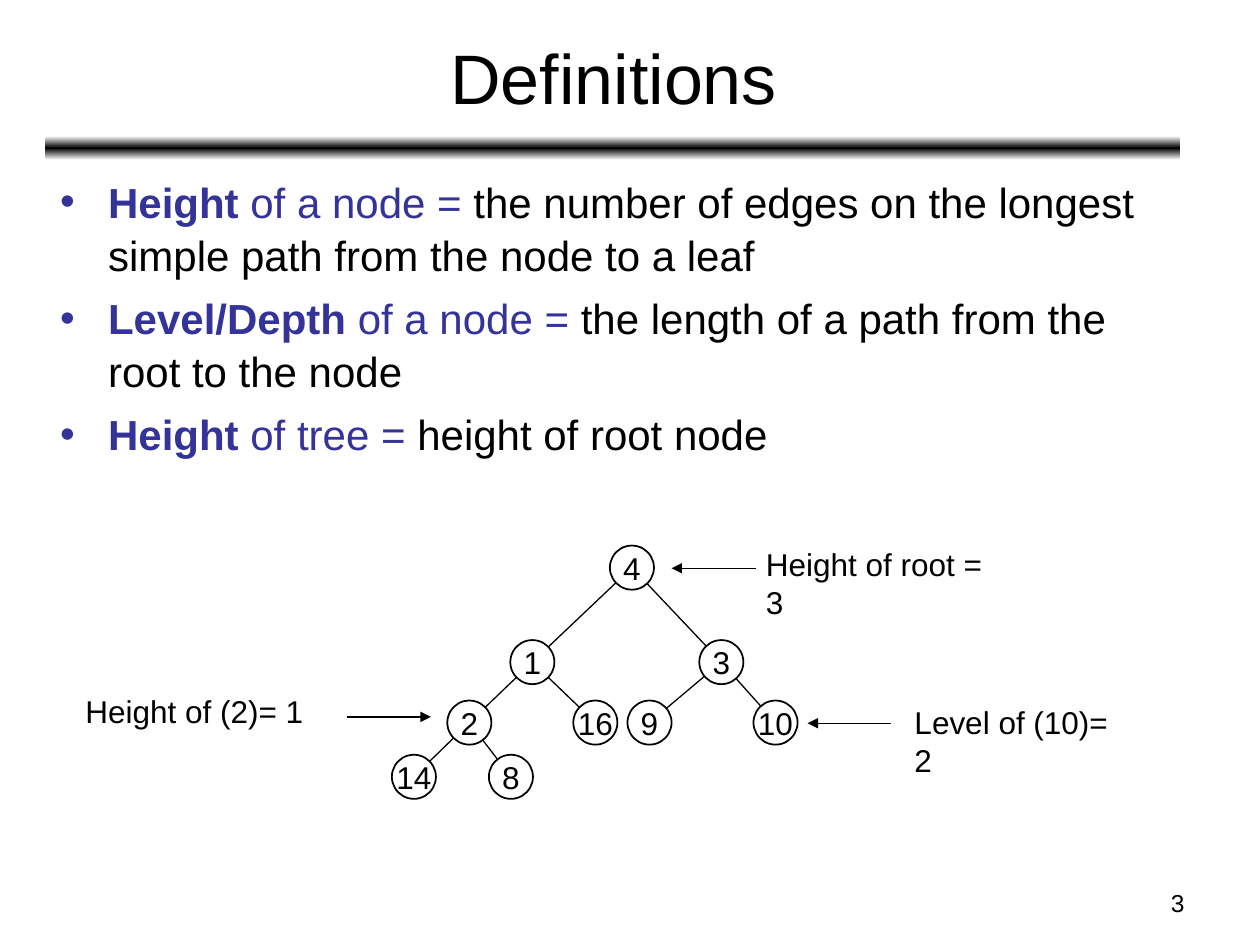
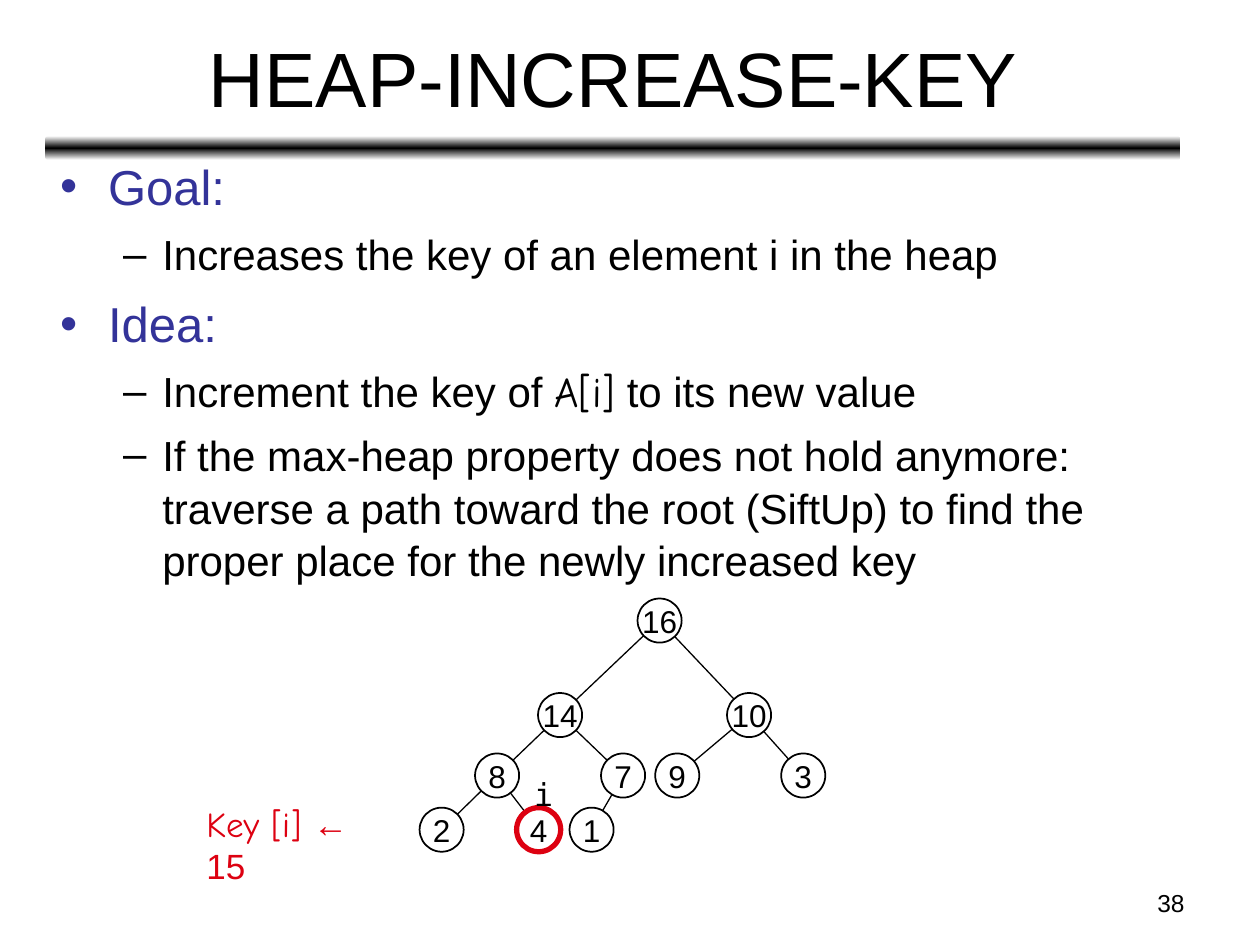
"""Build two slides on binary trees: definitions, and raising a key in a heap."""
from copy import deepcopy

from lxml import etree
from pptx import Presentation
from pptx import util as u
from pptx.dml.color import RGBColor
from pptx.enum import shapes, text
from pptx.oxml.ns import qn


class Theme:
    black = RGBColor.from_string("000000")
    white = RGBColor.from_string("FFFFFF")
    blue = RGBColor.from_string("333399")
    red = RGBColor.from_string("DD0111")
    face, hand, mono = "Arial", "Comic Neue", "DejaVu Sans Mono"
    small, label, key, item, topic = 14, 18, 20, 24, 28
    thin, ring, bold = 0.75, 1, 3
    pitch = 1.05


PX = 9144
NODE = 35
SLOTS = [(0, 0), (-79, 75), (71, 75), (-129, 123), (-29, 123), (14, 123),
         (114, 123), (-173, 166), (-96, 166), (-54, 166)]
LEVELS = {"•": (38, -38, Theme.blue), "–": (81, -31, Theme.black)}


def write(para, *runs):
    """Fill a paragraph with runs of (words, size, colour, bold, face)."""
    for words, size, color, *rest in runs:
        run = para.add_run()
        run.text = words
        run.font.size = u.Pt(size)
        run.font.color.rgb = color
        run.font.bold = bool(rest and rest[0])
        run.font.name = rest[1] if len(rest) > 1 else Theme.face


def wire(page, start, end, arrow=False):
    """Draw a thin straight line, with an arrowhead at its end if asked."""
    ends = [u.Emu(int(n * PX)) for n in (*start, *end)]
    line = page.shapes.add_connector(shapes.MSO_CONNECTOR.STRAIGHT, *ends)
    line.line.color.rgb = Theme.black
    line.line.width = u.Pt(Theme.thin)
    if arrow:
        etree.SubElement(line.line._get_or_add_ln(), qn("a:tailEnd"), type="triangle")
    etree.SubElement(line._element.spPr, qn("a:effectLst"))


def term(name, link, sense):
    return "•", 6, [(name, Theme.item, Theme.blue, True),
                    (link, Theme.item, Theme.blue),
                    (sense, Theme.item, Theme.black)]


TOPICS = [
    term("Height ", "of a node = ",
         "the number of edges on the longest simple path from the node to a leaf"),
    term("Level/Depth", " of a node = ",
         "the length of a path from the root to the node"),
    term("Height ", "of tree = ", "height of root node"),
]
STEPS = [
    ("•", 7, [("Goal:", Theme.topic, Theme.blue)]),
    ("–", 6, [("Increases the key of an element i in the heap", Theme.item, Theme.black)]),
    ("•", 7, [("Idea:", Theme.topic, Theme.blue)]),
    ("–", 6, [("Increment the key of ", Theme.item, Theme.black),
              ("A[i]", Theme.item, Theme.black, False, Theme.hand),
              (" to its new value", Theme.item, Theme.black)]),
    ("–", 6, [("If the max-heap property does not hold anymore: traverse a path "
               "toward the root (SiftUp) to find the proper place for the newly "
               "increased key", Theme.item, Theme.black)]),
]
PAGES = [
    dict(title="Definitions", size=40, num="3", top=133, body=TOPICS,
         root=(484, 433), keys=[4, 1, 3, 2, 16, 9, 10, 14, 8], mark=None,
         notes=[((598, 428, 212, 40), [("Height of root = 3", Theme.label, Theme.black)]),
                ((58, 544, 193, 40), [("Height of (2)= 1", Theme.label, Theme.black)]),
                ((716, 553, 194, 40), [("Level of (10)= 2", Theme.label, Theme.black)])],
         arrows=[((600, 451), (533, 451)), ((275, 569), (342, 569)),
                 ((707, 574), (641, 574))]),
    dict(title="HEAP-INCREASE-KEY", size=44, num="38", top=117, body=STEPS,
         root=(506, 475), keys=[16, 14, 10, 8, 7, 9, 3, 2, 4, 1], mark=8,
         notes=[((414, 610, 26, 40), [("i", Theme.label, Theme.black, False, Theme.mono)]),
                ((154, 632, 169, 44), [("Key [i] ", Theme.key, Theme.red, False, Theme.hand),
                                       ("← 15", Theme.key, Theme.red)])],
         arrows=[]),
]

deck = Presentation()
deck.slide_width, deck.slide_height = 1000 * PX, 750 * PX

for plan in PAGES:
    page = deck.slides.add_slide(deck.slide_layouts[6])

    band = page.shapes.add_shape(shapes.MSO_SHAPE.ROUNDED_RECTANGLE,
                                 *[n * PX for n in (36, 108, 901, 19)])
    band.shadow.inherit = False
    band.line.fill.background()
    band.fill.gradient()
    band.fill.gradient_angle = 90
    stops = band._element.spPr.find(".//" + qn("a:gsLst"))
    stops.insert(1, deepcopy(stops[0]))
    shades = [Theme.white, Theme.black, Theme.white]
    for i, (stop, shade) in enumerate(zip(band.fill.gradient_stops, shades)):
        stop.color.rgb = shade
        stop.position = i / 2

    frames = [
        ((37, 11, 900, 99), plan["title"], plan["size"], text.PP_ALIGN.CENTER,
         text.MSO_ANCHOR.MIDDLE),
        ((717, 700, 233, 35), plan["num"], Theme.small, text.PP_ALIGN.RIGHT,
         text.MSO_ANCHOR.TOP),
    ]
    for area, words, size, align, anchor in frames:
        frame = page.shapes.add_textbox(*[n * PX for n in area]).text_frame
        frame.word_wrap = True
        frame.vertical_anchor = anchor
        frame.paragraphs[0].alignment = align
        write(frame.paragraphs[0], (words, size, Theme.black))

    body = page.shapes.add_textbox(*[n * PX for n in (38, plan["top"], 900, 555)])
    frame = body.text_frame
    frame.word_wrap = True
    for i, (mark, gap, runs) in enumerate(plan["body"]):
        para = frame.add_paragraph() if i else frame.paragraphs[0]
        left, hang, color = LEVELS[mark]
        props = para._p.get_or_add_pPr()
        props.set("marL", str(left * PX))
        props.set("indent", str(hang * PX))
        tint = etree.SubElement(props, qn("a:buClr"))
        etree.SubElement(tint, qn("a:srgbClr"), val=str(color))
        etree.SubElement(props, qn("a:buFont"), typeface=Theme.face)
        etree.SubElement(props, qn("a:buChar"), char=mark)
        para.line_spacing = Theme.pitch
        if i:
            para.space_before = u.Pt(gap)
        write(para, *runs)

    spots = [(plan["root"][0] + x, plan["root"][1] + y) for x, y in SLOTS]
    mids = [(x + NODE / 2, y + NODE / 2) for x, y in spots]
    for i in range(1, len(plan["keys"])):
        wire(page, mids[(i - 1) // 2], mids[i])
    for i, (key, (x, y)) in enumerate(zip(plan["keys"], spots)):
        node = page.shapes.add_shape(shapes.MSO_SHAPE.OVAL, x * PX, y * PX,
                                     NODE * PX, NODE * PX)
        node.shadow.inherit = False
        node.fill.solid()
        node.fill.fore_color.rgb = Theme.white
        hot = i == plan["mark"]
        node.line.color.rgb = Theme.red if hot else Theme.black
        node.line.width = u.Pt(Theme.bold if hot else Theme.ring)
        frame = node.text_frame
        frame.word_wrap = False
        frame.vertical_anchor = text.MSO_ANCHOR.MIDDLE
        frame.paragraphs[0].alignment = text.PP_ALIGN.CENTER
        write(frame.paragraphs[0], (str(key), Theme.label, Theme.black))

    for area, runs in plan["notes"]:
        frame = page.shapes.add_textbox(*[n * PX for n in area]).text_frame
        frame.word_wrap = False
        frame.auto_size = text.MSO_AUTO_SIZE.SHAPE_TO_FIT_TEXT
        write(frame.paragraphs[0], *runs)
    for start, end in plan["arrows"]:
        wire(page, start, end, True)

deck.save("out.pptx")
